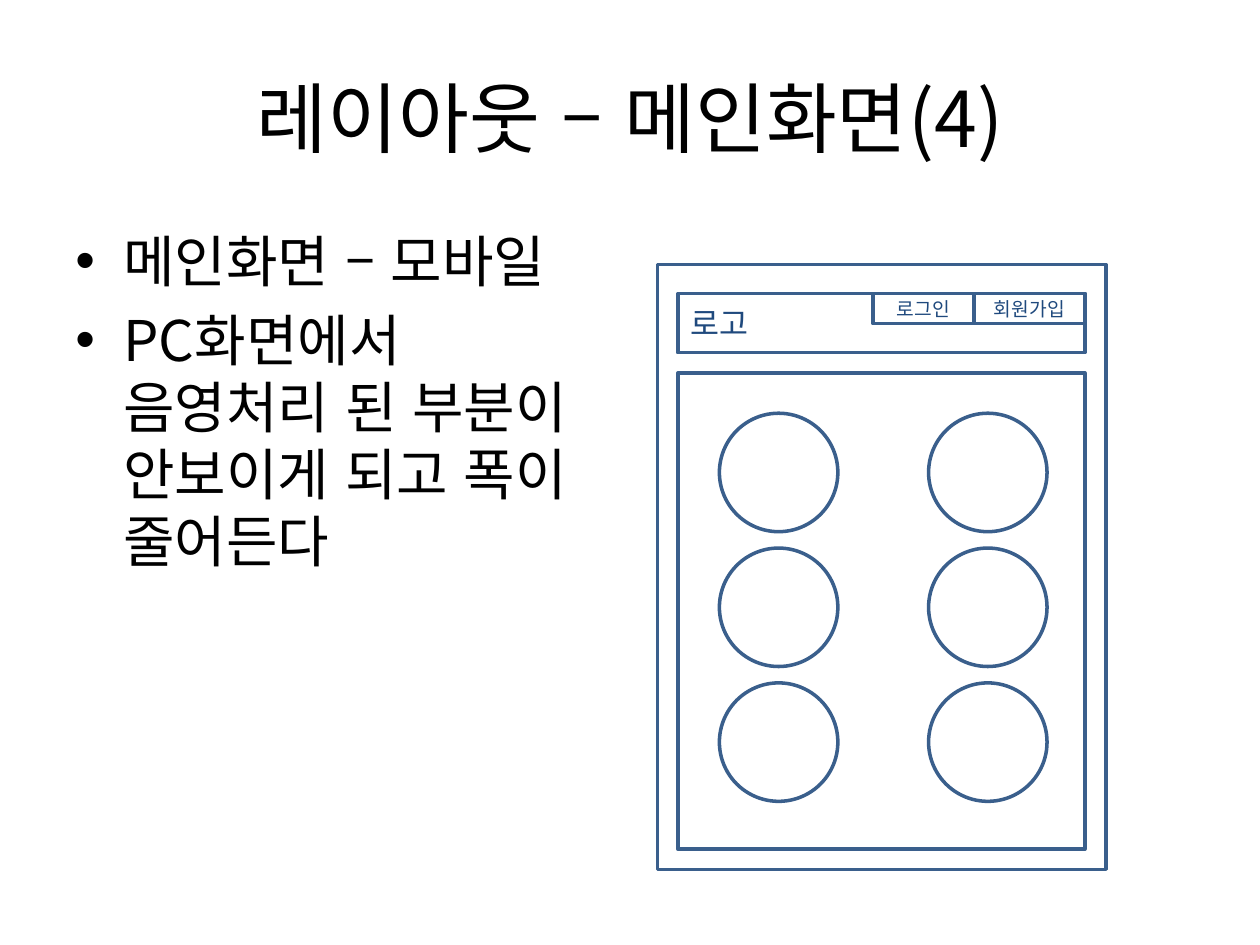
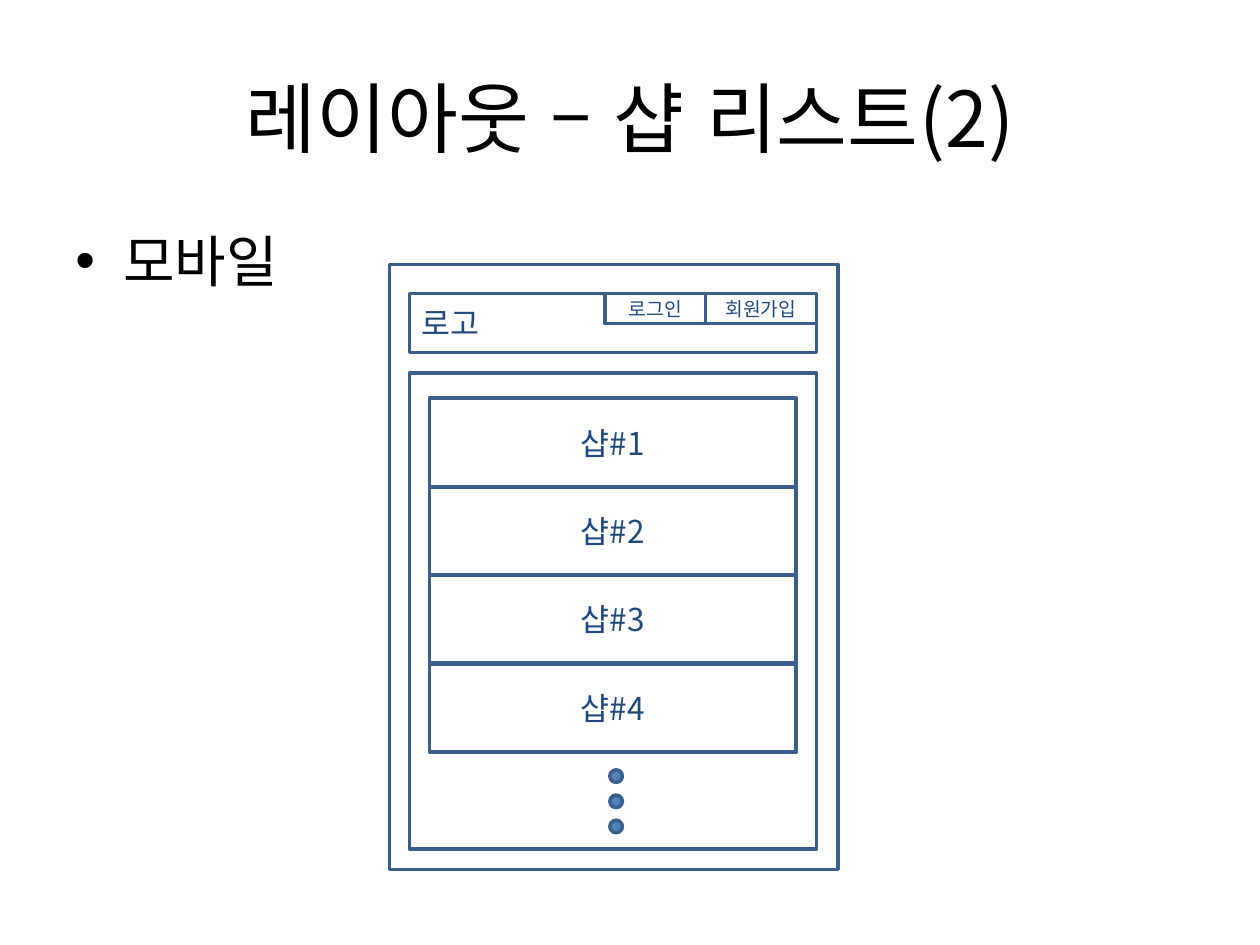
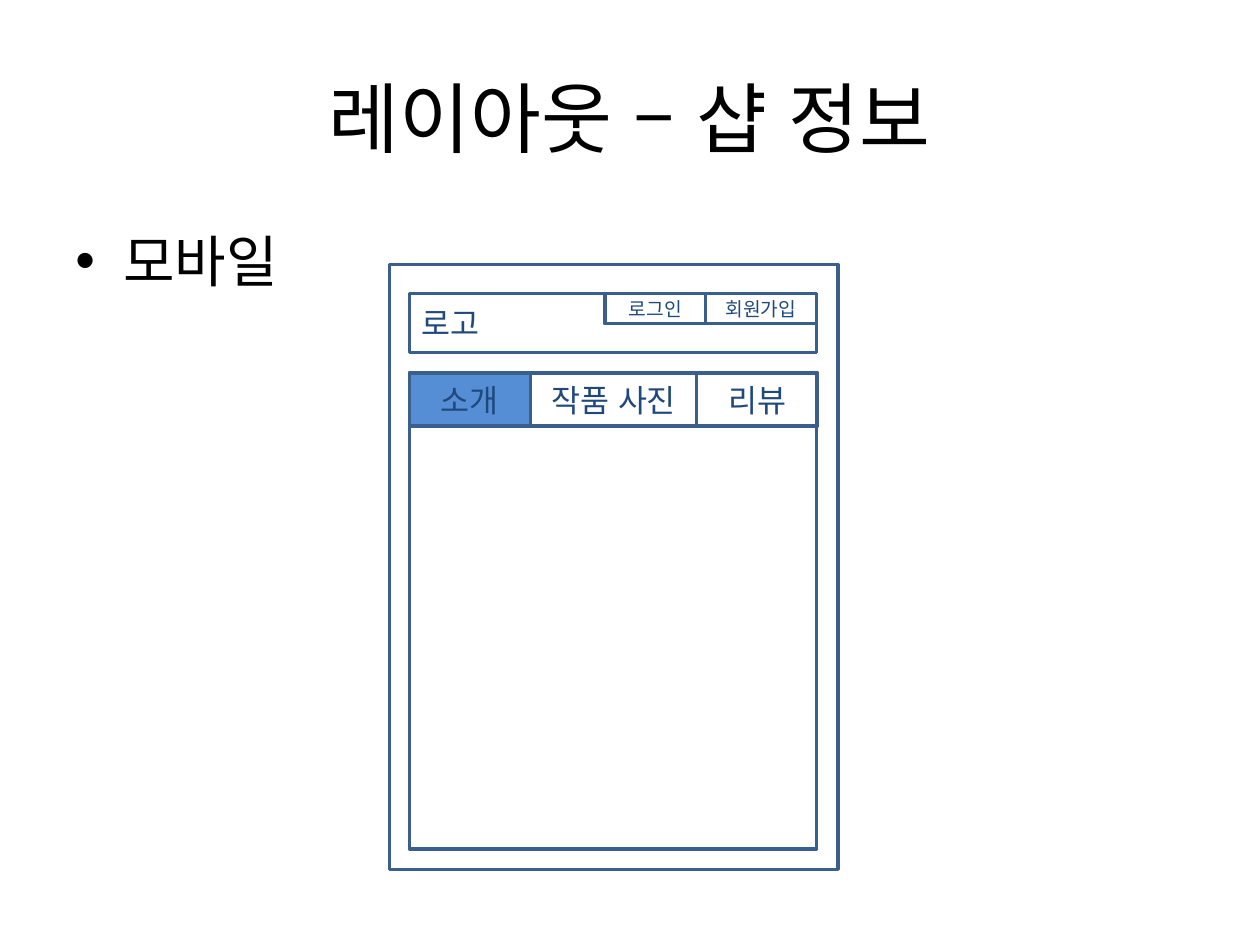
from lxml.etree import SubElement
from pptx import Presentation
from pptx.dml.color import RGBColor
from pptx.enum.lang import MSO_LANGUAGE_ID
from pptx.enum.shapes import MSO_SHAPE
from pptx.enum.text import MSO_ANCHOR, PP_ALIGN
from pptx.oxml.ns import qn
from pptx.util import Inches, Pt

LOGO = "로고"
LINKS = [("로그인", 0.8), ("회원가입", 0.88)]
SHOPS = ["샵#1", "샵#2", "샵#3", "샵#4"]
TABS = [("소개", 0.96), ("작품 사진", 1.32), ("리뷰", 0.96)]
PAGES = [
    {"title": "레이아웃 – 메인화면(4)", "left": 5.22, "wide": 4.5, "part": "rings",
     "notes": ["메인화면 – 모바일",
               "PC화면에서 음영처리 된 부분이 안보이게 되고 폭이 줄어든다"]},
    {"title": "레이아웃 – 샵 리스트(2)", "left": 3.09, "wide": 9, "part": "shops",
     "notes": ["모바일"]},
    {"title": "레이아웃 – 샵 정보", "left": 3.09, "wide": 9, "part": "tabs",
     "notes": ["모바일"]},
]


class Theme:
    font = "Noto Sans CJK KR"
    black, navy, edge = "000000", "1F497D", "3A5F8C"
    dot, tab = "4F81BD", "558ED5"
    head, body, label, small = 44, 32, 18, 11
    line = 2


# Phone frame and its inner column, in inches
TOP, WIDE, TALL = 2.1, 3.56, 4.8
PAD, INNER = 0.16, 3.23
BAR, MAIN = 2.33, 2.96


def write(frame, lines, size, color, align):
    frame.word_wrap = True
    frame.text = "\n".join(lines)
    for para in frame.paragraphs:
        para.alignment = align
        for run in para.runs:
            font = run.font
            font.size, font.name = Pt(size), Theme.font
            font.color.rgb = RGBColor.from_string(color)
            font.language_id = MSO_LANGUAGE_ID.KOREAN
            SubElement(font._element, qn("a:ea"), typeface=Theme.font)


def bullet(para):
    props = para._p.get_or_add_pPr()
    props.set("marL", str(Inches(0.38)))
    props.set("indent", str(-Inches(0.38)))
    gap = SubElement(props, qn("a:spcBef"))
    SubElement(gap, qn("a:spcPct"), val="20000")
    SubElement(props, qn("a:buFont"), typeface="Arial")
    SubElement(props, qn("a:buChar"), char="•")


def area(slide, box):
    return slide.shapes.add_textbox(*map(Inches, box)).text_frame


def draw(slide, box, text="", size=Theme.label, fill=None,
         align=PP_ALIGN.CENTER, kind=MSO_SHAPE.RECTANGLE):
    shape = slide.shapes.add_shape(kind, *map(Inches, box))
    shape.shadow.inherit = False
    shape.line.color.rgb = RGBColor.from_string(Theme.edge)
    shape.line.width = Pt(Theme.line)
    if fill:
        shape.fill.solid()
        shape.fill.fore_color.rgb = RGBColor.from_string(fill)
    else:
        shape.fill.background()
    if text:
        shape.text_frame.vertical_anchor = MSO_ANCHOR.MIDDLE
        write(shape.text_frame, [text], size, Theme.navy, align)


def phone(slide, left):
    """Draw the frame, header bar and main panel; return the column's left."""
    col = left + PAD
    draw(slide, (left, TOP, WIDE, TALL))
    draw(slide, (col, BAR, INNER, 0.47), LOGO, align=PP_ALIGN.LEFT)
    x = col + INNER - sum(w for _, w in LINKS)
    for name, w in LINKS:
        draw(slide, (x, BAR, w, 0.24), name, Theme.small)
        x += w
    draw(slide, (col, MAIN, INNER, 3.78))
    return col


def rings(slide, col):
    for row in range(3):
        for side in range(2):
            draw(slide, (col + 0.33 + side * 1.66, 3.28 + row * 1.07, 0.94, 0.94),
                 kind=MSO_SHAPE.OVAL)


def shops(slide, col):
    for row, name in enumerate(SHOPS):
        draw(slide, (col + PAD, 3.16 + row * 0.7, INNER - 2 * PAD, 0.71), name)
    for row in range(3):
        draw(slide, (col + 1.59, 6.11 + row * 0.2, 0.1, 0.1),
             fill=Theme.dot, kind=MSO_SHAPE.OVAL)


def tabs(slide, col):
    x = col
    for i, (name, w) in enumerate(TABS):
        draw(slide, (x, MAIN, w, 0.42), name, fill=None if i else Theme.tab)
        x += w


PARTS = {"rings": rings, "shops": shops, "tabs": tabs}


def build(deck, page):
    slide = deck.slides.add_slide(deck.slide_layouts[6])
    head = area(slide, (0.5, 0.3, 9, 1.25))
    head.vertical_anchor = MSO_ANCHOR.MIDDLE
    write(head, [page["title"]], Theme.head, Theme.black, PP_ALIGN.CENTER)
    body = area(slide, (0.5, 1.75, page["wide"], 4.95))
    write(body, page["notes"], Theme.body, Theme.black, PP_ALIGN.LEFT)
    for para in body.paragraphs:
        bullet(para)
    PARTS[page["part"]](slide, phone(slide, page["left"]))


def main():
    deck = Presentation()
    deck.slide_width, deck.slide_height = Inches(10), Inches(7.5)
    for page in PAGES:
        build(deck, page)
    deck.save("out.pptx")


if __name__ == "__main__":
    main()
